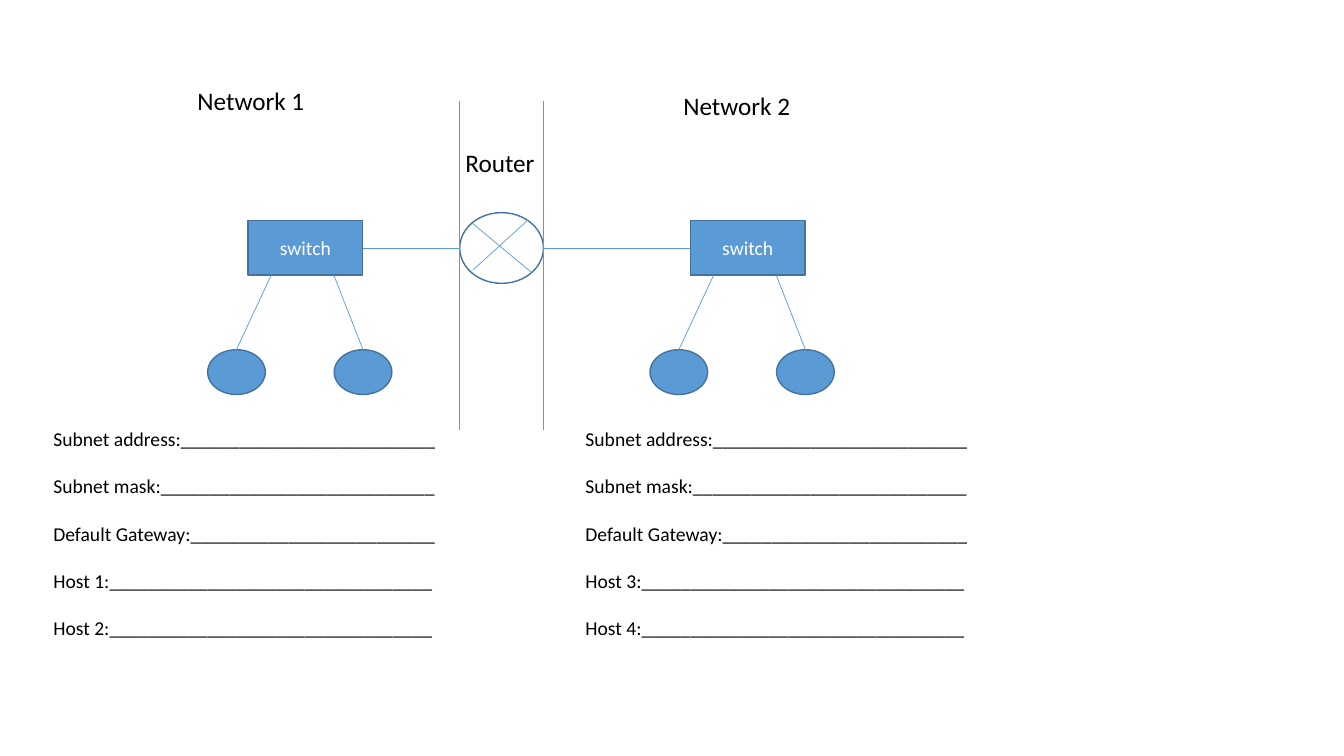
from lxml import etree
from pptx import Presentation
from pptx import util as u
from pptx.dml.color import RGBColor
from pptx.enum import shapes, text
from pptx.oxml.ns import qn

Pt = u.Pt

# Content: title, title position, left of its switch, form position, host names
NETWORKS = [
    {"title": "Network 1", "title_at": (134, 57.6), "switch_left": 177.1,
     "form_left": 31, "hosts": ("Host 1", "Host 2")},
    {"title": "Network 2", "title_at": (481, 61.2), "switch_left": 493.1,
     "form_left": 411.1, "hosts": ("Host 3", "Host 4")},
]
ADDRESS_FIELDS = [("Subnet address", 26), ("Subnet mask", 28), ("Default Gateway", 25)]
HOST_BLANKS = 33
COLORS = {"fill": "5B9BD5", "outline": "43739E", "white": "FFFFFF", "black": "000000"}
FONT = "Calibri"

# Geometry in points
SWITCH_TOP, SWITCH_WIDTH, SWITCH_HEIGHT = 157.7, 82.1, 38.9
HOST_TOP, HOST_WIDTH, HOST_HEIGHT = 249.8, 41.2, 32
HOST_LINKS = [(-28.8, 16.6), (61.6, 61.4)]  # host left, link foot; from switch left
ROUTER_LEFT, ROUTER_TOP, ROUTER_WIDTH, ROUTER_HEIGHT = 328.4, 151.9, 59.8, 50.5
ROUTER_CROSS = [(337, 159.1, 379.4, 194.4), (377.3, 157, 337.7, 193)]
BORDER_TOP, BORDER_BOTTOM = 72, 307.4
FORM_TOP, FORM_WIDTH, FORM_HEIGHT, FORM_GAP = 301.7, 288, 160, 16.8


def color(name):
    return RGBColor.from_string(COLORS[name])


def style_text(frame, size, color_name):
    for paragraph in frame.paragraphs:
        for run in paragraph.runs:
            run.font.size = Pt(size)
            run.font.name = FONT
            run.font.color.rgb = color(color_name)


def add_box(slide, kind, left, top, width, height, fill="fill"):
    shape = slide.shapes.add_shape(kind, Pt(left), Pt(top), Pt(width), Pt(height))
    shape.shadow.inherit = False
    shape.fill.solid()
    shape.fill.fore_color.rgb = color(fill)
    shape.line.color.rgb = color("outline")
    shape.line.width = Pt(1)
    return shape


def add_line(slide, x1, y1, x2, y2):
    line = slide.shapes.add_connector(
        shapes.MSO_CONNECTOR.STRAIGHT, Pt(x1), Pt(y1), Pt(x2), Pt(y2))
    line.line.color.rgb = color("fill")
    line.line.width = Pt(0.5)
    etree.SubElement(line._element.spPr, qn("a:effectLst"))
    return line


def add_text(slide, lines, left, top, width, height, size, gap=0):
    box = slide.shapes.add_textbox(Pt(left), Pt(top), Pt(width), Pt(height))
    frame = box.text_frame
    frame.word_wrap = True
    frame.text = "\n".join(lines)
    for paragraph in frame.paragraphs[1:]:
        paragraph.space_before = Pt(gap)
    style_text(frame, size, "black")


def add_network(slide, network):
    # Switch
    left = network["switch_left"]
    switch = add_box(slide, shapes.MSO_SHAPE.RECTANGLE,
                     left, SWITCH_TOP, SWITCH_WIDTH, SWITCH_HEIGHT)
    switch.text_frame.text = "switch"
    switch.text_frame.vertical_anchor = text.MSO_ANCHOR.MIDDLE
    switch.text_frame.paragraphs[0].alignment = text.PP_ALIGN.CENTER
    style_text(switch.text_frame, 14, "white")

    # Hosts and their links
    for host_offset, foot_offset in HOST_LINKS:
        host = add_box(slide, shapes.MSO_SHAPE.OVAL,
                       left + host_offset, HOST_TOP, HOST_WIDTH, HOST_HEIGHT)
        link = add_line(slide, left + host_offset + HOST_WIDTH / 2, HOST_TOP,
                        left + foot_offset, SWITCH_TOP + SWITCH_HEIGHT)
        link.begin_connect(host, 0)

    # Title and address form
    add_text(slide, [network["title"]], *network["title_at"], 115.2, 29, 18)
    fields = ADDRESS_FIELDS + [(host, HOST_BLANKS) for host in network["hosts"]]
    lines = [f"{label}:{'_' * blanks}" for label, blanks in fields]
    add_text(slide, lines, network["form_left"], FORM_TOP,
             FORM_WIDTH, FORM_HEIGHT, 14, FORM_GAP)
    return switch


def add_router(slide, switches):
    add_box(slide, shapes.MSO_SHAPE.OVAL, ROUTER_LEFT, ROUTER_TOP,
            ROUTER_WIDTH, ROUTER_HEIGHT, "white")
    for ends in ROUTER_CROSS:
        add_line(slide, *ends)

    # Switch links and network borders at both sides of the router
    middle = SWITCH_TOP + SWITCH_HEIGHT / 2
    sides = (ROUTER_LEFT, ROUTER_LEFT + ROUTER_WIDTH)
    for x, switch, site in zip(sides, switches, (3, 1)):
        link = add_line(slide, x, middle, x, middle)
        link.end_connect(switch, site)
        add_line(slide, x, BORDER_TOP, x, BORDER_BOTTOM)
    add_text(slide, ["Router"], 325.4, 101.5, 115.2, 29, 18)


def main():
    presentation = Presentation()
    presentation.slide_width, presentation.slide_height = Pt(960), Pt(540)
    slide = presentation.slides.add_slide(presentation.slide_layouts[6])
    switches = [add_network(slide, network) for network in NETWORKS]
    add_router(slide, switches)
    presentation.save("out.pptx")


if __name__ == "__main__":
    main()
